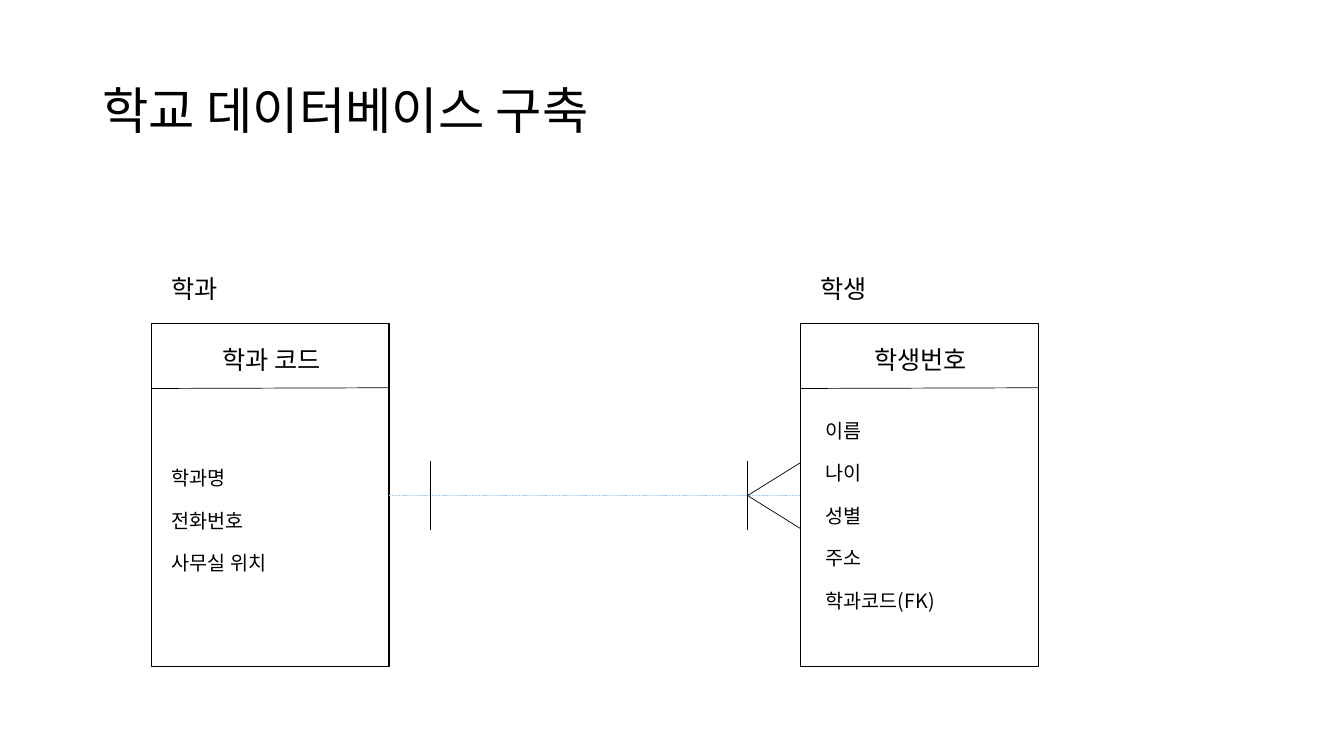
"""Build the school database entity-relationship slide."""
from lxml import etree
from pptx import Presentation
from pptx.dml.color import RGBColor
from pptx.enum.dml import MSO_LINE
from pptx.enum.shapes import MSO_CONNECTOR, MSO_SHAPE
from pptx.enum.text import MSO_ANCHOR, MSO_AUTO_SIZE, PP_ALIGN
from pptx.oxml.ns import qn
from pptx.util import Pt

FONT = "Noto Sans CJK KR"
BLACK, WHITE, PALE_BLUE = "000000", "FFFFFF", "B5D2EC"
TITLE = "학교 데이터베이스 구축"
ENTITIES = [
    {"name": "학과", "key": "학과 코드", "left": 108, "inset": (14.5, 102),
     "attributes": ["학과명", "전화번호", "사무실 위치"]},
    {"name": "학생", "key": "학생번호", "left": 571.7, "inset": (18, 68),
     "attributes": ["이름", "나이", "성별", "주소", "학과코드(FK)"]},
]
BOX_TOP, BOX_WIDTH, BOX_HEIGHT = 231, 170, 245
KEY_LINE_Y, LINK_Y = 277.5, 354
ATTRIBUTE_GAP = 13.6
LINK_START = ENTITIES[0]["left"] + BOX_WIDTH
LINK_END = ENTITIES[1]["left"]
ONE_BAR_X, MANY_BAR_X = 307.5, 534
BAR_REACH, FOOT_REACH = 24.5, 23.5


def color(hex_text):
    return RGBColor.from_string(hex_text)


def write(frame, lines, size, align=PP_ALIGN.LEFT, gap=0):
    frame.word_wrap = True
    frame.auto_size = MSO_AUTO_SIZE.NONE
    for index, line in enumerate(lines):
        paragraph = frame.paragraphs[0] if index == 0 else frame.add_paragraph()
        paragraph.alignment = align
        paragraph.space_after = Pt(gap)
        run = paragraph.add_run()
        run.text = line
        run.font.size = Pt(size)
        run.font.name = FONT
        run.font.color.rgb = color(BLACK)
        etree.SubElement(run.font._element, qn("a:ea"), typeface=FONT)


def add_label(slide, text, left, top, width, align=PP_ALIGN.LEFT):
    label = slide.shapes.add_textbox(Pt(left), Pt(top), Pt(width), Pt(29))
    write(label.text_frame, [text], 18, align)


def add_line(slide, x1, y1, x2, y2, hex_text=BLACK):
    line = slide.shapes.add_connector(
        MSO_CONNECTOR.STRAIGHT, Pt(x1), Pt(y1), Pt(x2), Pt(y2))
    line.line.width = Pt(0.5)
    line.line.color.rgb = color(hex_text)
    etree.SubElement(line._element.spPr, qn("a:effectLst"))
    return line


def add_entity(slide, entity):
    left = entity["left"]
    box = slide.shapes.add_shape(
        MSO_SHAPE.RECTANGLE, Pt(left), Pt(BOX_TOP), Pt(BOX_WIDTH), Pt(BOX_HEIGHT))
    box.shadow.inherit = False
    box.fill.solid()
    box.fill.fore_color.rgb = color(WHITE)
    box.line.color.rgb = color(BLACK)
    box.line.width = Pt(1)
    frame = box.text_frame
    frame.vertical_anchor = MSO_ANCHOR.TOP
    frame.margin_left, frame.margin_top = map(Pt, entity["inset"])
    write(frame, entity["attributes"], 14, gap=ATTRIBUTE_GAP)
    add_line(slide, left, KEY_LINE_Y, left + BOX_WIDTH, KEY_LINE_Y - 0.5)
    add_label(slide, entity["key"], left + 9, 242.5, 154, PP_ALIGN.CENTER)
    add_label(slide, entity["name"], left + 7.5, 191.5, 77)


def add_relationship(slide):
    link = add_line(slide, LINK_START, LINK_Y, LINK_END, LINK_Y, PALE_BLUE)
    link.line.dash_style = MSO_LINE.SQUARE_DOT
    for x in (ONE_BAR_X, MANY_BAR_X):
        add_line(slide, x, LINK_Y - BAR_REACH, x, LINK_Y + BAR_REACH)
    for reach in (-FOOT_REACH, FOOT_REACH):
        add_line(slide, MANY_BAR_X, LINK_Y, LINK_END, LINK_Y + reach)


def main():
    deck = Presentation()
    deck.slide_width, deck.slide_height = Pt(960), Pt(540)
    slide = deck.slides.add_slide(deck.slide_layouts[5])
    for placeholder in list(slide.placeholders):
        if placeholder != slide.shapes.title:
            placeholder._element.getparent().remove(placeholder._element)
    title = slide.shapes.title
    title.left, title.top, title.width, title.height = map(Pt, (66, 29, 828, 104))
    title.text_frame.vertical_anchor = MSO_ANCHOR.MIDDLE
    write(title.text_frame, [TITLE], 36)
    title.text_frame.paragraphs[0].line_spacing = 0.9
    for entity in ENTITIES:
        add_entity(slide, entity)
    add_relationship(slide)
    deck.save("out.pptx")


main()
